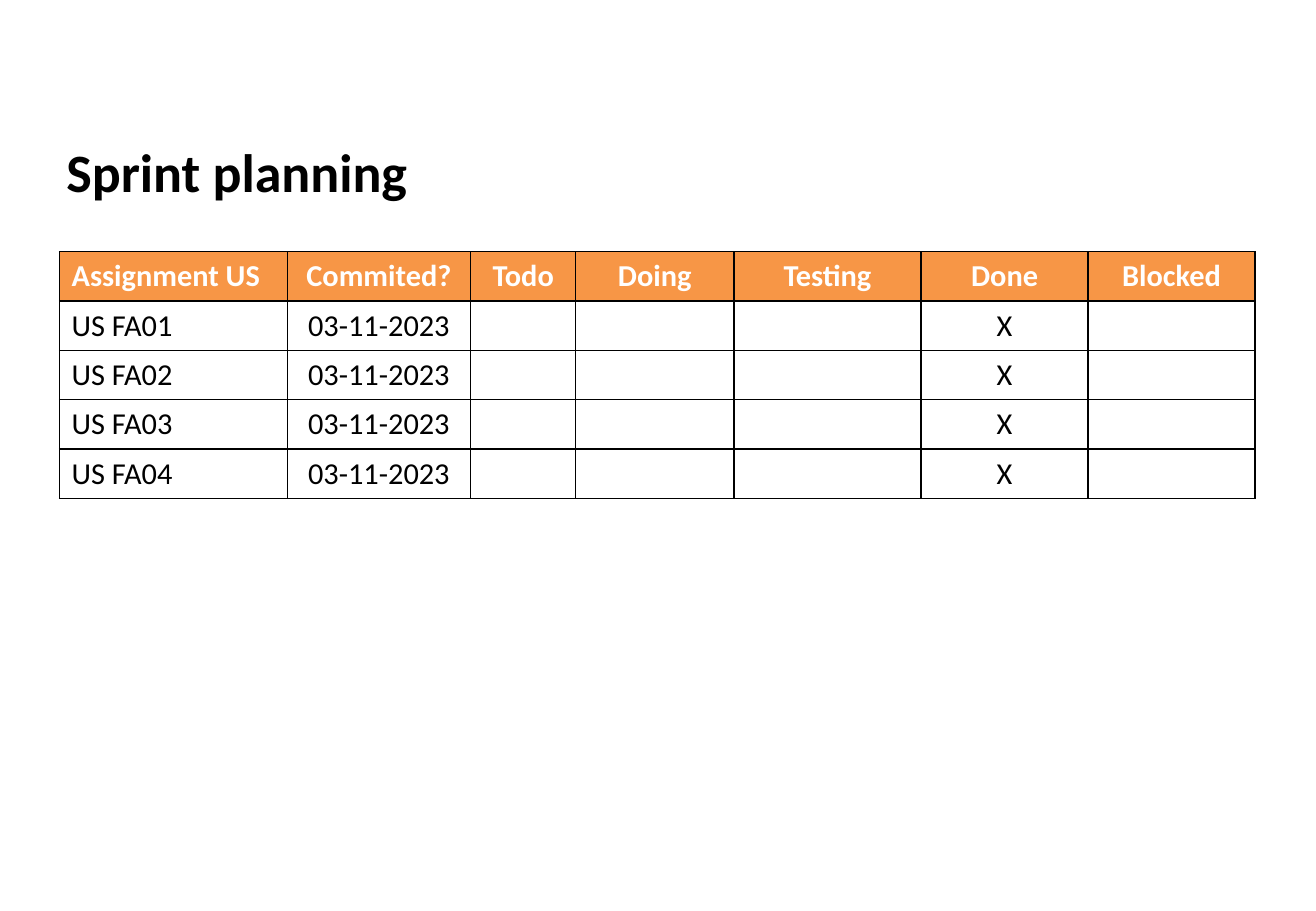
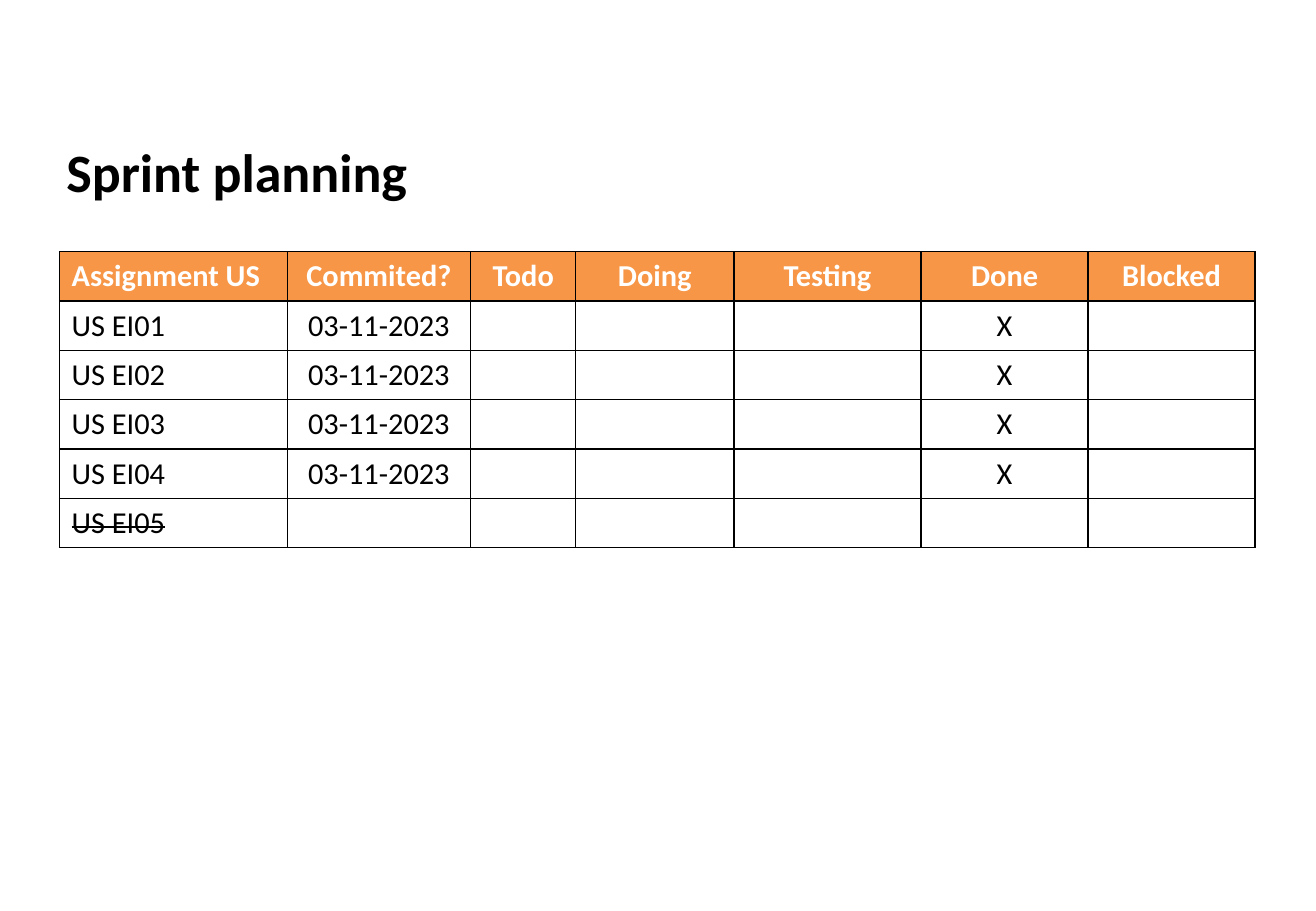
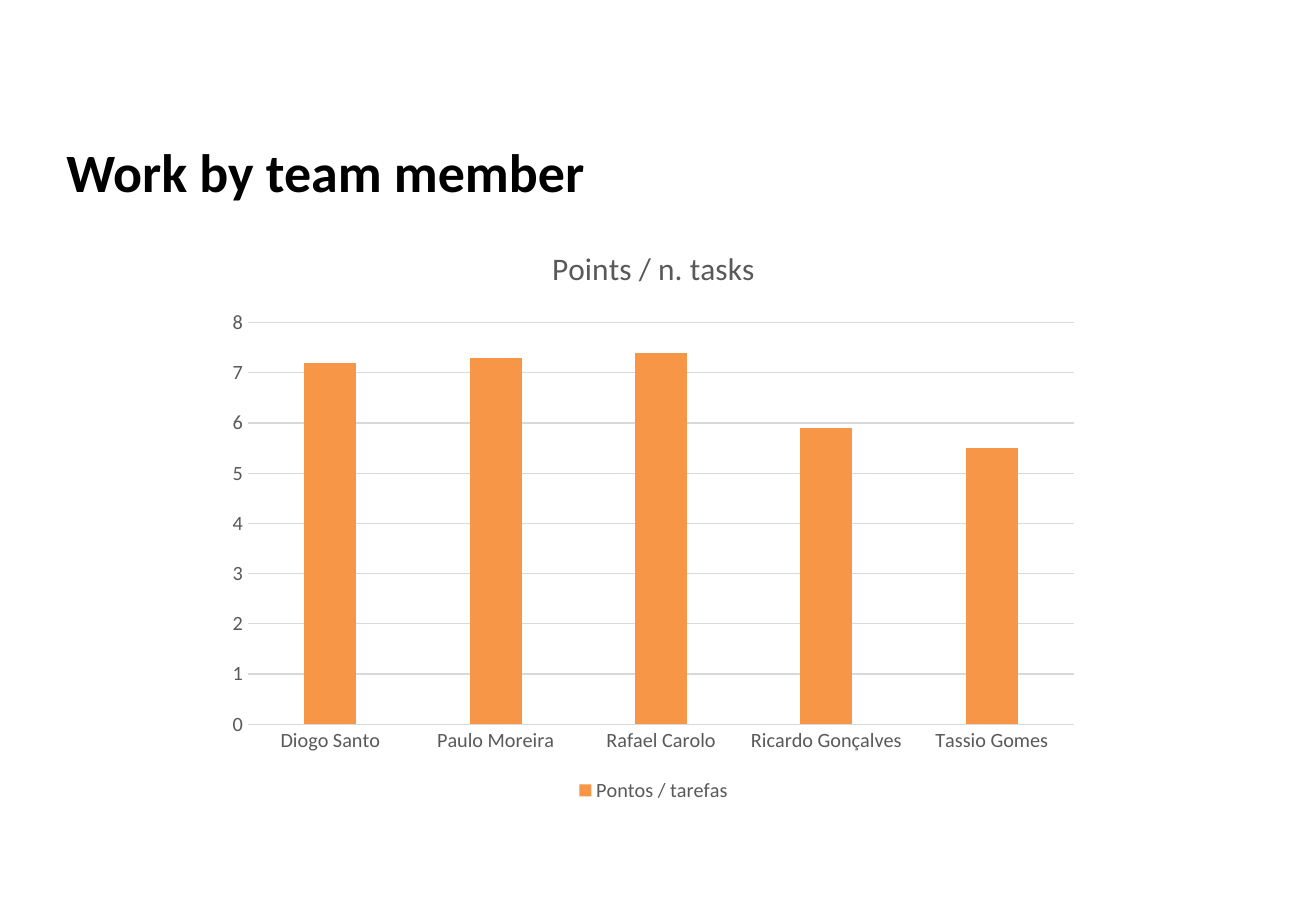
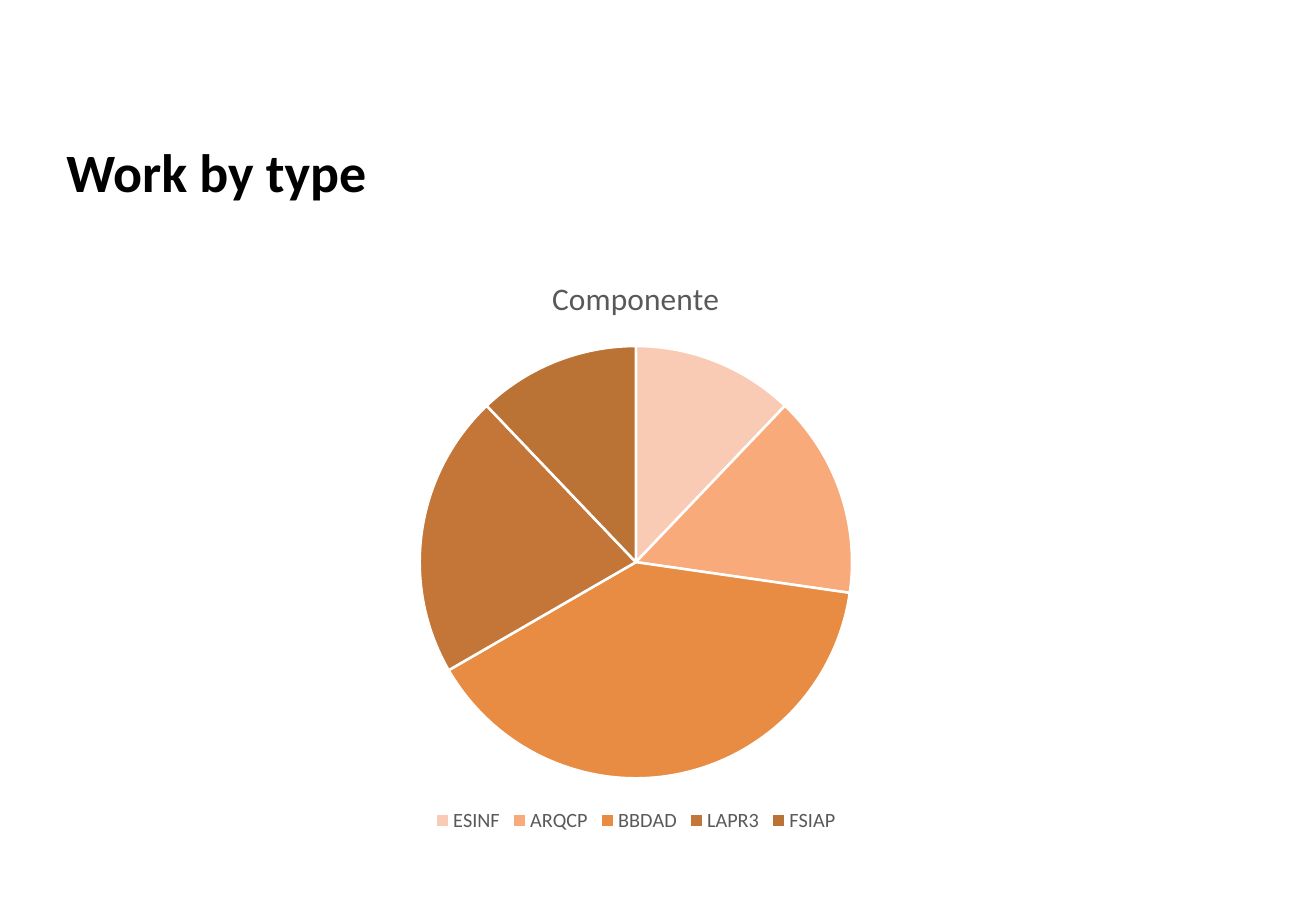
from dataclasses import dataclass

from lxml.etree import SubElement
from pptx import Presentation
from pptx.chart.chart import Chart
from pptx.chart.data import CategoryChartData
from pptx.dml.color import RGBColor
from pptx.enum.chart import XL_CHART_TYPE, XL_LEGEND_POSITION, XL_TICK_MARK
from pptx.enum.text import MSO_ANCHOR, PP_ALIGN
from pptx.oxml.ns import qn
from pptx.slide import Slide
from pptx.table import _Cell
from pptx.text.text import Font
from pptx.util import Emu, Pt

EMU_PER_PX = 9525
FONT_NAME = "Calibri"
BLACK = RGBColor(0x00, 0x00, 0x00)
WHITE = RGBColor(0xFF, 0xFF, 0xFF)
ORANGE = RGBColor(0xF7, 0x96, 0x46)
CHART_TEXT = RGBColor(0x59, 0x59, 0x59)
GRID_GREY = RGBColor(0xD9, 0xD9, 0xD9)
PIE_COLORS = (
    RGBColor(0xFA, 0xCB, 0xB4),
    RGBColor(0xF8, 0xAA, 0x7A),
    RGBColor(0xE7, 0x8C, 0x42),
    RGBColor(0xC3, 0x76, 0x37),
    RGBColor(0xBB, 0x72, 0x35),
)

HEADERS = ("Assignment US", "Commited?", "Todo", "Doing", "Testing", "Done", "Blocked")
COLUMN_WIDTHS = (180, 145, 83, 125, 148, 132, 132)
ROW_HEIGHT = 39
COMMIT_DATE = "03-11-2023"


@dataclass(frozen=True)
class Box:
    left: int
    top: int
    width: int
    height: int

    def emu(self) -> tuple[Emu, Emu, Emu, Emu]:
        return px(self.left), px(self.top), px(self.width), px(self.height)


@dataclass(frozen=True)
class Story:
    name: str
    committed: bool = True

    def cells(self) -> tuple[str, ...]:
        if self.committed:
            return self.name, COMMIT_DATE, "", "", "", "X", ""
        return (self.name,) + ("",) * (len(HEADERS) - 1)


@dataclass(frozen=True)
class ChartSpec:
    kind: XL_CHART_TYPE
    box: Box
    title: str
    series_name: str
    categories: tuple[str, ...]
    values: tuple[float, ...]


TITLE_BOX = Box(43, 105, 960, 60)
TABLE_LEFT, TABLE_TOP = 47, 199
FA_STORIES = tuple(Story(f"US FA{number:02}") for number in range(1, 5))
EI_STORIES = tuple(Story(f"US EI{number:02}", number < 5) for number in range(1, 6))
MEMBER_CHART = ChartSpec(
    XL_CHART_TYPE.COLUMN_CLUSTERED,
    Box(170, 176, 693, 462),
    "Points / n. tasks",
    "Pontos / tarefas",
    ("Diogo Santo", "Paulo Moreira", "Rafael Carolo", "Ricardo Gonçalves", "Tassio Gomes"),
    (7.2, 7.3, 7.4, 5.9, 5.5),
)
TYPE_CHART = ChartSpec(
    XL_CHART_TYPE.PIE,
    Box(156, 200, 693, 462),
    "Componente",
    "Series 1",
    ("ESINF", "ARQCP", "BBDAD", "LAPR3", "FSIAP"),
    (12, 15, 39, 21, 12),
)


def px(length: int) -> Emu:
    return Emu(length * EMU_PER_PX)


def style_font(font: Font, size: float, color: RGBColor, bold: bool = False) -> None:
    font.name = FONT_NAME
    font.size = Pt(size)
    font.bold = bold
    font.color.rgb = color


def add_titled_slide(presentation: Presentation, title: str) -> Slide:
    slide = presentation.slides.add_slide(presentation.slide_layouts[6])
    frame = slide.shapes.add_textbox(*TITLE_BOX.emu()).text_frame
    frame.word_wrap = True
    frame.vertical_anchor = MSO_ANCHOR.MIDDLE
    run = frame.paragraphs[0].add_run()
    run.text = title
    style_font(run.font, 32, BLACK, bold=True)
    return slide


def add_borders(cell: _Cell) -> None:
    properties = cell._tc.get_or_add_tcPr()
    for side in ("a:lnL", "a:lnR", "a:lnT", "a:lnB"):
        line = SubElement(properties, qn(side), w=str(Pt(1)))
        fill = SubElement(line, qn("a:solidFill"))
        SubElement(fill, qn("a:srgbClr"), val=str(BLACK))


def fill_cell(cell: _Cell, text: str, header: bool, centred: bool, struck: bool) -> None:
    add_borders(cell)
    if header:
        cell.fill.solid()
        cell.fill.fore_color.rgb = ORANGE
    else:
        cell.fill.background()
    if not text:
        return
    paragraph = cell.text_frame.paragraphs[0]
    paragraph.alignment = PP_ALIGN.CENTER if centred else PP_ALIGN.LEFT
    run = paragraph.add_run()
    run.text = text
    style_font(run.font, 18, WHITE if header else BLACK, bold=header)
    if struck:
        run._r.get_or_add_rPr().set("strike", "sngStrike")


def add_story_table(slide: Slide, stories: tuple[Story, ...]) -> None:
    rows = (HEADERS,) + tuple(story.cells() for story in stories)
    box = Box(TABLE_LEFT, TABLE_TOP, sum(COLUMN_WIDTHS), ROW_HEIGHT * len(rows))
    table = slide.shapes.add_table(len(rows), len(HEADERS), *box.emu()).table
    table.horz_banding = False
    for column, width in zip(table.columns, COLUMN_WIDTHS):
        column.width = px(width)
    for row_index, texts in enumerate(rows):
        table.rows[row_index].height = px(ROW_HEIGHT)
        header = row_index == 0
        struck = not header and not stories[row_index - 1].committed
        for column_index, text in enumerate(texts):
            cell = table.cell(row_index, column_index)
            fill_cell(cell, text, header, column_index > 0, struck)


def add_titled_chart(slide: Slide, spec: ChartSpec) -> Chart:
    data = CategoryChartData()
    data.categories = spec.categories
    data.add_series(spec.series_name, spec.values)
    chart = slide.shapes.add_chart(spec.kind, *spec.box.emu(), data).chart
    style_font(chart.font, 12, CHART_TEXT)
    chart.has_title = True
    chart.chart_title.include_in_layout = False
    run = chart.chart_title.text_frame.paragraphs[0].add_run()
    run.text = spec.title
    style_font(run.font, 18.6, CHART_TEXT)
    chart.has_legend = True
    chart.legend.position = XL_LEGEND_POSITION.BOTTOM
    chart.legend.include_in_layout = False
    style_font(chart.legend.font, 12, CHART_TEXT)
    return chart


def style_columns(chart: Chart) -> None:
    plot = chart.plots[0]
    plot.vary_by_categories = False
    plot.gap_width = 219
    plot.overlap = -27
    series = plot.series[0]
    series.format.fill.solid()
    series.format.fill.fore_color.rgb = ORANGE
    for axis in (chart.category_axis, chart.value_axis):
        axis.major_tick_mark = XL_TICK_MARK.NONE
        axis.minor_tick_mark = XL_TICK_MARK.NONE
        style_font(axis.tick_labels.font, 12, CHART_TEXT)
    value_axis = chart.value_axis
    value_axis.minimum_scale = 0
    value_axis.maximum_scale = 8
    value_axis.major_unit = 1
    value_axis.format.line.fill.background()
    value_axis.has_major_gridlines = True
    for line in (chart.category_axis.format.line, value_axis.major_gridlines.format.line):
        line.color.rgb = GRID_GREY
        line.width = Pt(0.75)


def style_slices(chart: Chart) -> None:
    plot = chart.plots[0]
    plot.vary_by_categories = True
    for index, color in enumerate(PIE_COLORS):
        point_format = plot.series[0].points[index].format
        point_format.fill.solid()
        point_format.fill.fore_color.rgb = color
        point_format.line.color.rgb = WHITE
        point_format.line.width = Pt(1.5)


def main() -> None:
    presentation = Presentation()
    presentation.slide_width = px(1040)
    presentation.slide_height = px(720)
    for stories in (FA_STORIES, EI_STORIES):
        add_story_table(add_titled_slide(presentation, "Sprint planning"), stories)
    member_slide = add_titled_slide(presentation, "Work by team member")
    style_columns(add_titled_chart(member_slide, MEMBER_CHART))
    type_slide = add_titled_slide(presentation, "Work by type")
    style_slices(add_titled_chart(type_slide, TYPE_CHART))
    presentation.save("out.pptx")


if __name__ == "__main__":
    main()
